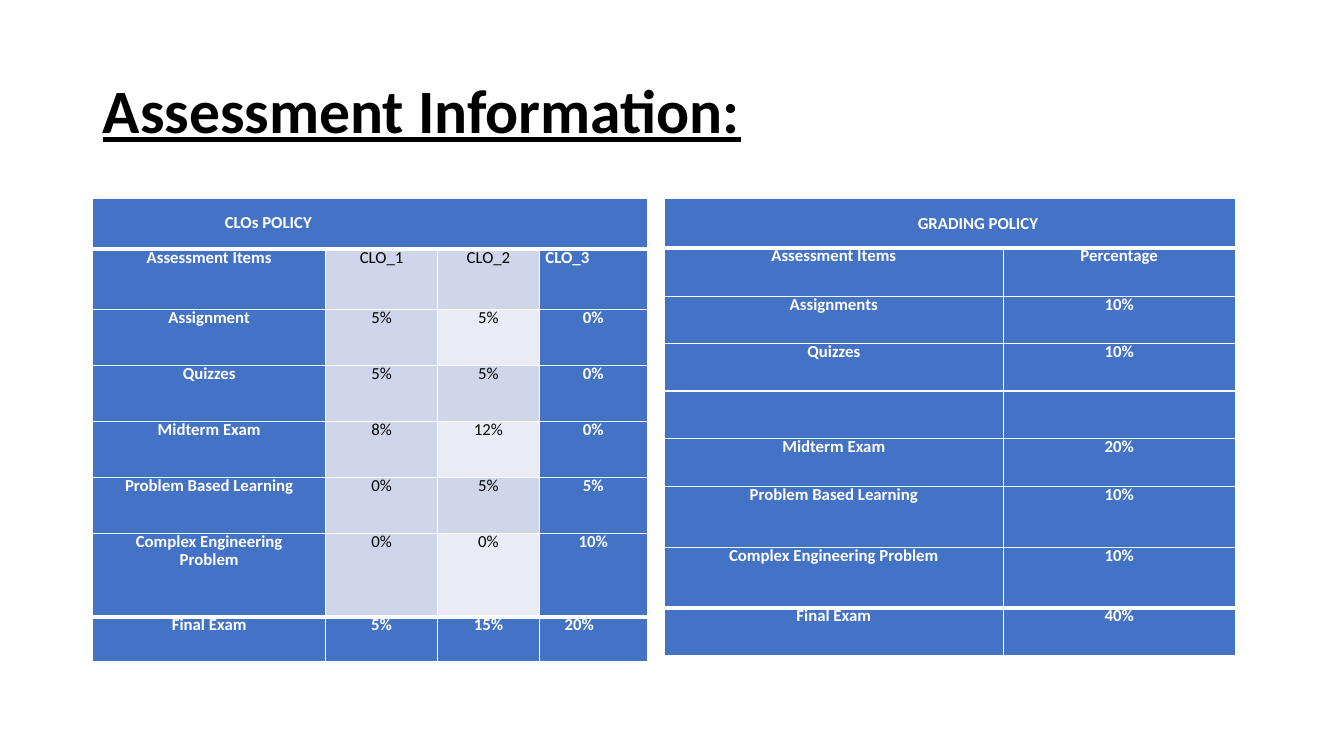
"""Build the assessment information slide with its two policy tables."""
import pptx
import pptx.dml.color
import pptx.enum.text
import pptx.oxml
import pptx.oxml.ns
import pptx.util

COLORS = {"blue": "4472C4", "lavender": "CFD5EA", "pale": "E9EBF5",
          "white": "FFFFFF", "black": "000000"}
ALIGN = pptx.enum.text.PP_ALIGN
ANCHOR = pptx.enum.text.MSO_ANCHOR
SCALE = 9144


def px(length):
    return pptx.util.Emu(length * SCALE)


def write(frame, text, size=12, color="white", bold=True, underline=False,
          align=ALIGN.CENTER, left=0, right=0, spacing=pptx.util.Pt(13.2)):
    paragraph = frame.paragraphs[0]
    paragraph.alignment = align
    paragraph.line_spacing = spacing
    margins = paragraph._p.get_or_add_pPr()
    margins.set("marL", str(px(left)))
    margins.set("marR", str(px(right)))
    margins.set("indent", "0")
    run = paragraph.add_run()
    run.text = text
    run.font.name = "Calibri"
    run.font.size = pptx.util.Pt(size)
    run.font.bold = bold
    run.font.underline = underline
    run.font.color.rgb = pptx.dml.color.RGBColor.from_string(COLORS[color])


class AssessmentSlide:
    def __init__(self, deck):
        self.slide = deck.slides.add_slide(deck.slide_layouts[5])

    def title(self, text, left, top, width, height):
        heading = self.slide.shapes.title
        heading.left, heading.top = px(left), px(top)
        heading.width, heading.height = px(width), px(height)
        frame = heading.text_frame
        frame.auto_size = pptx.enum.text.MSO_AUTO_SIZE.NONE
        frame.word_wrap = True
        frame.vertical_anchor = ANCHOR.MIDDLE
        write(frame, text, size=44, color="black", underline=True,
              align=ALIGN.LEFT, spacing=0.9)

    def borders(self, cell, top, bottom):
        properties = cell._tc.get_or_add_tcPr()
        for side, points in (("L", 1), ("R", 1), ("T", top), ("B", bottom)):
            properties.append(pptx.oxml.parse_xml(
                f'<a:ln{side} {pptx.oxml.ns.nsdecls("a")} w="{points * 12700}">'
                f'<a:solidFill><a:srgbClr val="{COLORS["white"]}"/></a:solidFill>'
                f'</a:ln{side}>'))

    def table(self, left, top, widths, heights, heading, heading_format, rows, style):
        grid = self.slide.shapes.add_table(
            len(heights), len(widths), px(left), px(top),
            px(sum(widths)), px(sum(heights))).table
        grid.horz_banding = False
        for column, width in zip(grid.columns, widths):
            column.width = px(width)
        for row, height in zip(grid.rows, heights):
            row.height = px(height)
        last = len(heights) - 1
        for r in range(len(heights)):
            for c in range(len(widths)):
                cell = grid.cell(r, c)
                cell.margin_left = cell.margin_right = 0
                cell.margin_top = cell.margin_bottom = 0
                self.borders(cell, 3 if r in (1, last) else 1,
                             3 if r in (0, last - 1) else 1)
                fill, text_format = style(r, c) if r else ("blue", {})
                cell.fill.solid()
                cell.fill.fore_color.rgb = pptx.dml.color.RGBColor.from_string(COLORS[fill])
                if r and rows[r - 1][c]:
                    write(cell.text_frame, rows[r - 1][c], **text_format)
        banner = grid.cell(0, 0)
        banner.merge(grid.cell(0, len(widths) - 1))
        banner.vertical_anchor = ANCHOR.MIDDLE
        write(banner.text_frame, heading, **heading_format)


def clo_style(row, column):
    inset = (21, 12, 8, 1)[column]
    text_format = {"left": inset, "right": inset,
                   "spacing": pptx.util.Pt(13.5 if row == 1 else 13.2)}
    if column == 3 and row in (1, 7):
        text_format.update(align=ALIGN.LEFT, left=6 if row == 1 else 25)
    if column in (1, 2) and row < 7:
        text_format.update(color="black", bold=False)
        return "pale" if column == 2 and row % 2 == 0 else "lavender", text_format
    return "blue", text_format


def grading_style(row, column):
    inset = (20, 16)[column]
    return "blue", {"left": inset, "right": inset}


CLO_ROWS = [
    ("Assessment Items", "CLO_1", "CLO_2", "CLO_3"),
    ("Assignment", "5%", "5%", "0%"),
    ("Quizzes", "5%", "5%", "0%"),
    ("Midterm Exam", "8%", "12%", "0%"),
    ("Problem Based Learning", "0%", "5%", "5%"),
    ("Complex Engineering Problem", "0%", "0%", "10%"),
    ("Final Exam", "5%", "15%", "20%"),
]
GRADING_ROWS = [
    ("Assessment Items", "Percentage"),
    ("Assignments", "10%"),
    ("Quizzes", "10%"),
    ("", ""),
    ("Midterm Exam", "20%"),
    ("Problem Based Learning", "10%"),
    ("Complex Engineering Problem", "10%"),
    ("Final Exam", "40%"),
]


def main():
    deck = pptx.Presentation()
    deck.slide_width, deck.slide_height = px(1333), px(750)
    page = AssessmentSlide(deck)
    page.title("Assessment Information:", 92, 40, 1150, 145)
    page.table(92, 197, (231, 111, 101, 107), (50, 60, 56, 55, 56, 55, 83, 44),
               "CLOs POLICY",
               {"align": ALIGN.LEFT, "left": 131, "spacing": pptx.util.Pt(13.8)},
               CLO_ROWS, clo_style)
    page.table(659, 197, (336, 230), (49, 48, 47, 47, 47, 48, 60, 60, 48),
               "GRADING POLICY", {"left": 56, "spacing": 1.07},
               GRADING_ROWS, grading_style)
    deck.save("out.pptx")


if __name__ == "__main__":
    main()
